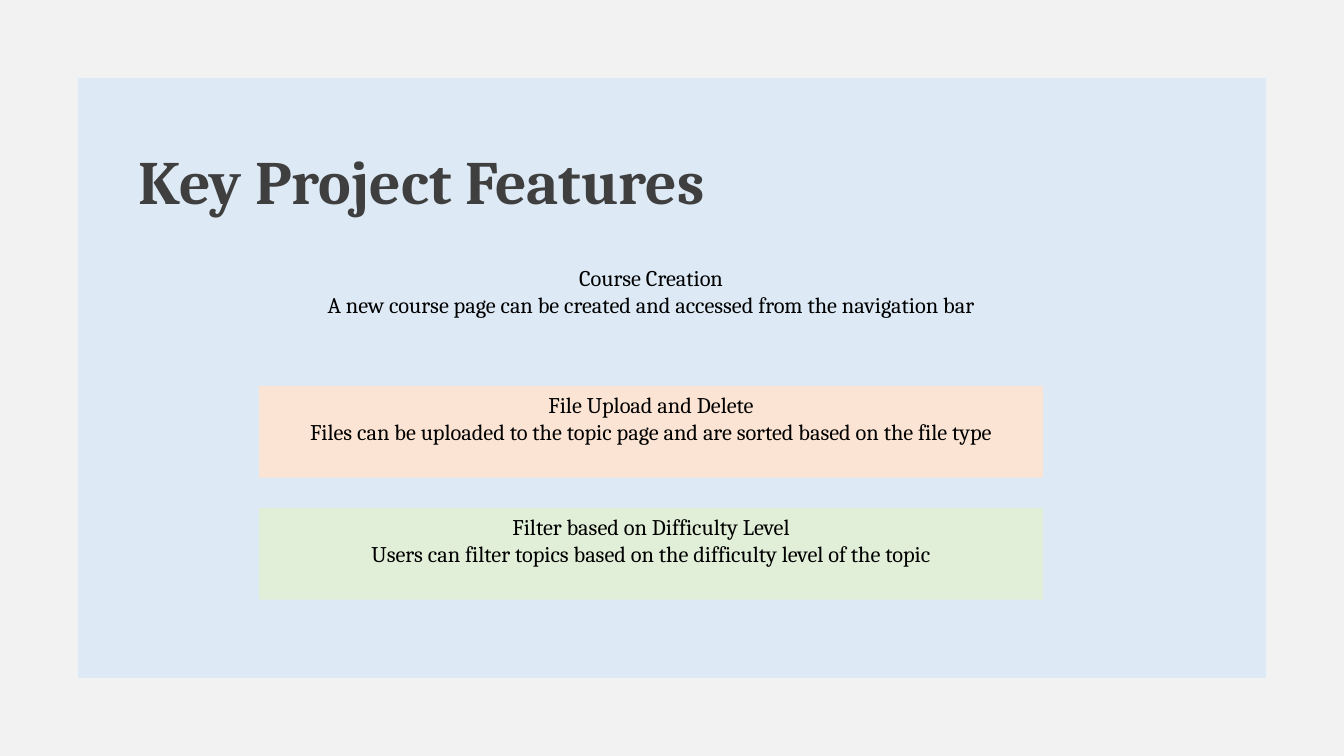
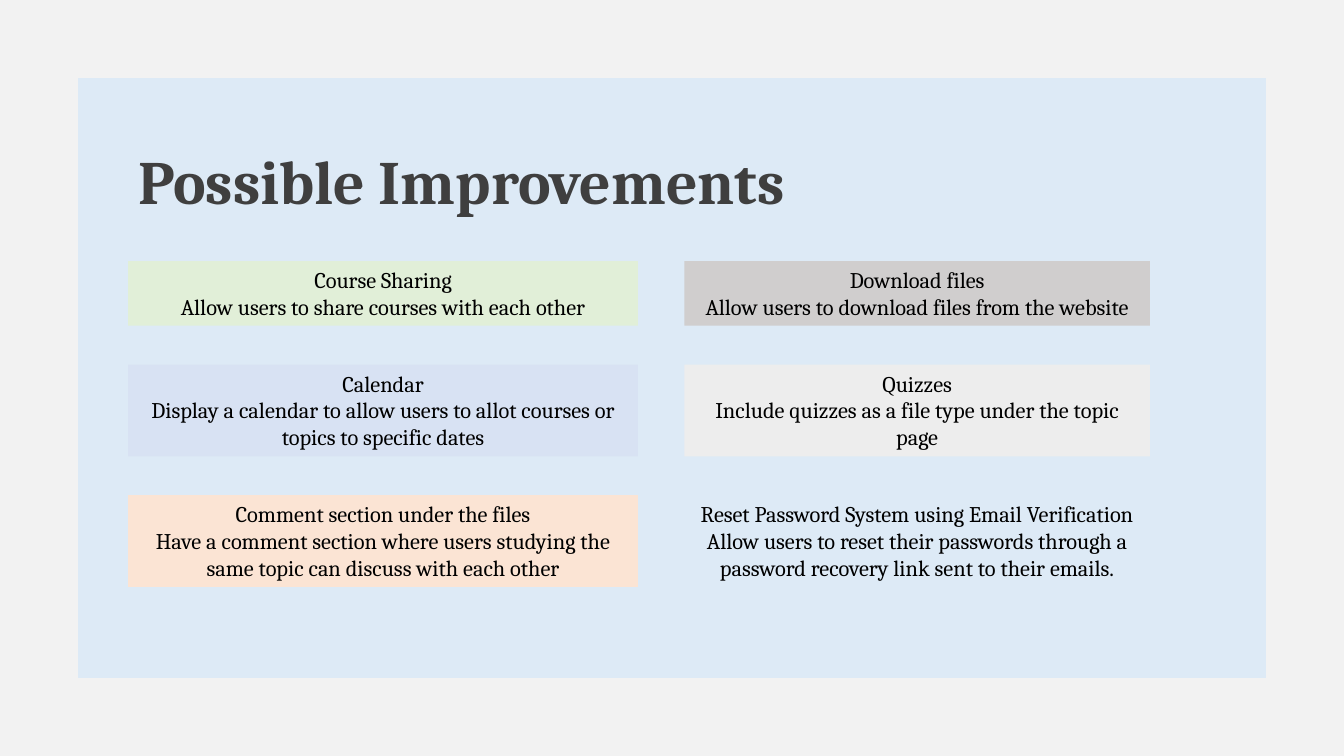
from pptx import Presentation
from pptx.dml.color import RGBColor
from pptx.enum.shapes import MSO_SHAPE as Geo
from pptx.enum.text import MSO_ANCHOR as Anchor, MSO_AUTO_SIZE as Fit, PP_ALIGN as Align
from pptx.util import Cm, Pt

COLORS = {
    "sky": "DDEAF6", "frame": "F2F2F2", "peach": "FBE4D4", "green": "E1EFD8",
    "gray": "D0CECE", "pale": "EDEDED", "blue": "D8E2F3",
    "title": "3F3F3F", "text": "000000",
}
HEAD = {"name": "Cambria", "size": Pt(44), "bold": True}
BODY = {"name": "Cambria", "size": Pt(16), "bold": False}

# Each card: fill, heading, description
FEATURES = [
    ("sky", "Course Creation",
     "A new course page can be created and accessed from the navigation bar"),
    ("peach", "File Upload and Delete",
     "Files can be uploaded to the topic page and are sorted based on the file type"),
    ("green", "Filter based on Difficulty Level",
     "Users can filter topics based on the difficulty level of the topic"),
]
FEATURE_TOPS = [6.53, 9.73, 12.8]

# Each row: height, left card, right card
IDEAS = [
    (1.63,
     ("green", "Course Sharing", "Allow users to share courses with each other"),
     ("gray", "Download files", "Allow users to download files from the website")),
    (2.31,
     ("blue", "Calendar",
      "Display a calendar to allow users to allot courses or topics to specific dates"),
     ("pale", "Quizzes", "Include quizzes as a file type under the topic page")),
    (2.31,
     ("peach", "Comment section under the files",
      "Have a comment section where users studying the same topic can discuss with each other"),
     ("sky", "Reset Password System using Email Verification",
      "Allow users to reset their passwords through a password recovery link sent to their emails.")),
]
IDEA_COLS = [(3.23, 12.85), (17.25, 11.73)]
IDEA_TOP, IDEA_GAP = 6.58, 0.98


def rgb(name):
    return RGBColor.from_string(COLORS[name])


def style(font, color, form):
    for key, value in form.items():
        setattr(font, key, value)
    font.color.rgb = rgb(color)


def place(shape, left, top, width, height):
    shape.left, shape.top = Cm(left), Cm(top)
    shape.width, shape.height = Cm(width), Cm(height)


def block(slide, geo, fill, box):
    shape = slide.shapes.add_shape(geo, *map(Cm, box))
    shape.shadow.inherit = False
    shape.fill.solid()
    shape.fill.fore_color.rgb = rgb(fill)
    shape.line.fill.background()
    return shape


def card(slide, item, box):
    fill, *lines = item
    frame = block(slide, Geo.RECTANGLE, fill, box).text_frame
    frame.word_wrap = True
    frame.vertical_anchor = Anchor.TOP
    frame.text = "\n".join(lines)
    for para in frame.paragraphs:
        para.alignment = Align.CENTER
        style(para.font, "text", BODY)


def add_page(deck, text):
    slide = deck.slides.add_slide(deck.slide_layouts[5])
    title = slide.shapes.title
    place(title, 3.23, 3.48, 21, 2.13)
    frame = title.text_frame
    frame.text = text
    frame.auto_size = Fit.NONE
    frame.vertical_anchor = Anchor.TOP
    para = frame.paragraphs[0]
    para.alignment = Align.LEFT
    style(para.font, "title", HEAD)
    return slide


def set_master(deck, slide):
    """Give the master its background and move the border frame onto it."""
    master = deck.slide_master
    master.background.fill.solid()
    master.background.fill.fore_color.rgb = rgb("sky")
    border = block(slide, Geo.FRAME, "frame", (0, 0, 33.87, 19.05))
    border.adjustments[0] = 0.103
    master.shapes.element.insert(2, border.element)


def main():
    deck = Presentation()
    deck.slide_width, deck.slide_height = Cm(33.87), Cm(19.05)

    slide = add_page(deck, "Key Project Features")
    set_master(deck, slide)
    for top, item in zip(FEATURE_TOPS, FEATURES):
        card(slide, item, (6.53, top, 19.76, 2.31))

    slide = add_page(deck, "Possible Improvements")
    top = IDEA_TOP
    for height, *items in IDEAS:
        for (left, width), item in zip(IDEA_COLS, items):
            card(slide, item, (left, top, width, height))
        top += height + IDEA_GAP

    deck.save("out.pptx")


if __name__ == "__main__":
    main()
